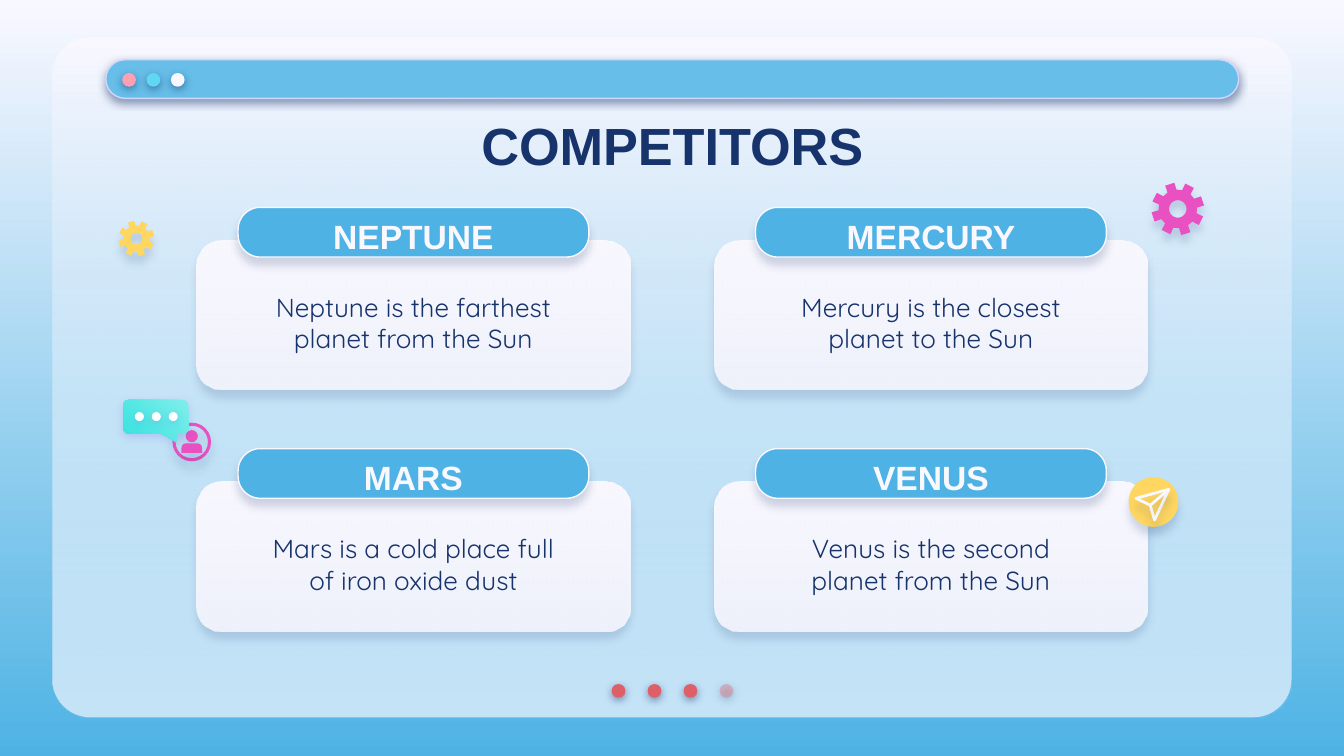
from math import cos, radians, sin

from lxml import etree
from pptx import Presentation
from pptx.dml.color import RGBColor
from pptx.enum import shapes, text
from pptx.oxml.ns import qn
from pptx.util import Cm, Pt

NAVY, SKY, PALE, WHITE = "17336B", "4EB3E4", "F9F8FF", "FFFFFF"
PINK, YELLOW, RED, BAR = "E951C2", "FFD65F", "DF5F69", "66BEE9"
AQUA = [("81EEEB", 100), ("3AE4DF", 100)]

TITLE = "COMPETITORS"
CARDS = [
    ("NEPTUNE", "Neptune is the farthest planet from the Sun"),
    ("MERCURY", "Mercury is the closest planet to the Sun"),
    ("MARS", "Mars is a cold place full of iron oxide dust"),
    ("VENUS", "Venus is the second planet from the Sun"),
]
BAR_DOTS = ["FDA0B4", "60D8F4", PALE]
PAGE_DOTS = [RED, RED, RED, [("E27B83", 44)]]
GEARS = [(22.26, 3.95, 0.5, PINK), (2.58, 4.51, 0.34, YELLOW)]

# Shadows: colour, opacity %, blur pt, distance pt
DOT_SHADOW = (NAVY, 50, 4.5, 1.5)
SOFT_SHADOW = (NAVY, 16, 4.5, 4.5)
TAB_SHADOW = (NAVY, 18, 4.5, 3.8)
CHAT_SHADOW = ("5352EE", 18, 4.5, 1.5)

S = shapes.MSO_SHAPE


def rgb(colour):
    return RGBColor.from_string(colour)


def set_alpha(clr, percent):
    if percent < 100:
        etree.SubElement(clr, qn("a:alpha"), val=str(percent * 1000))


def paint(fill, element, colour, angle=270):
    """Fill with a hex string or with one or two (hex, opacity) stops."""
    stops = [(colour, 100)] if isinstance(colour, str) else colour
    if len(stops) == 1:
        fill.solid()
        fill.fore_color.rgb = rgb(stops[0][0])
    else:
        fill.gradient()
        fill.gradient_angle = angle
        for stop, (hex_code, _) in zip(fill.gradient_stops, stops):
            stop.color.rgb = rgb(hex_code)
    for clr, (_, alpha) in zip(element.iter(qn("a:srgbClr")), stops):
        set_alpha(clr, alpha)


def add_shadow(sp, shadow):
    effects = etree.SubElement(sp._element.spPr, qn("a:effectLst"))
    colour, alpha, blur, dist = shadow
    outer = etree.SubElement(effects, qn("a:outerShdw"), blurRad=str(Pt(blur)),
                             dist=str(Pt(dist)), dir="5400000",
                             algn="bl", rotWithShape="0")
    set_alpha(etree.SubElement(outer, qn("a:srgbClr"), val=colour), alpha)


def style(sp, fill=None, line=None, width=0.75, shadow=None, angle=270):
    if fill:
        paint(sp.fill, sp._element.spPr, fill, angle)
    else:
        sp.fill.background()
    if line:
        sp.line.color.rgb = rgb(line)
        sp.line.width = Pt(width)
    else:
        sp.line.fill.background()
    if shadow:
        add_shadow(sp, shadow)
    else:
        sp.shadow.inherit = False


def add_preset(s, kind, x, y, w, h, fill, adj=(), **look):
    sp = s.shapes.add_shape(kind, Cm(x), Cm(y), Cm(w), Cm(h))
    for i, value in enumerate(adj):
        sp.adjustments[i] = value
    style(sp, fill, **look)
    return sp


def add_outline(s, contours, **look):
    """Closed freeform from contours of (x, y) points in cm."""
    points = [[(Cm(x), Cm(y)) for x, y in contour] for contour in contours]
    builder = s.shapes.build_freeform(*points[0][0])
    builder.add_line_segments(points[0][1:])
    for contour in points[1:]:
        builder.move_to(*contour[0])
        builder.add_line_segments(contour[1:])
    style(builder.convert_to_shape(), **look)


def add_dots(s, x, y, step, size, fills, shadow):
    for i, fill in enumerate(fills):
        add_preset(s, S.OVAL, x + i * step, y, size, size, fill, shadow=shadow)


def add_gear(s, x, y, r, fill):
    def polar(radius, degrees):
        a = radians(degrees)
        return x + radius * cos(a), y + radius * sin(a)

    teeth = [polar(r * k, 27 + 45 * tooth + turn) for tooth in range(8)
             for k, turn in ((0.73, -14), (1, -10.5), (1, 10.5), (0.73, 14))]
    hole = [polar(r * 0.33, -10 * i) for i in range(36)]
    add_outline(s, [teeth, hole], fill=fill, shadow=SOFT_SHADOW)


def write(sp, words, size, font, colour, bold, inset=0.25):
    tf = sp.text_frame
    tf.text = words
    tf.word_wrap = True
    tf.auto_size = text.MSO_AUTO_SIZE.NONE
    tf.vertical_anchor = text.MSO_ANCHOR.MIDDLE
    tf.margin_left = tf.margin_right = Cm(inset)
    tf.margin_top = tf.margin_bottom = Cm(0)
    p = tf.paragraphs[0]
    p.alignment = text.PP_ALIGN.CENTER
    p.font.size, p.font.name, p.font.bold = Pt(size), font, bold
    p.font.color.rgb = rgb(colour)


def add_window(s):
    paint(s.background.fill, s.background._cSld, [(PALE, 100), (SKY, 100)])
    for fill in (PALE, [(PALE, 100), (BAR, 35)]):
        add_preset(s, S.ROUNDED_RECTANGLE, 0.99, 0.71, 23.42, 12.85, fill, [0.056])
    add_dots(s, 11.56, 12.93, 0.68, 0.26, PAGE_DOTS, DOT_SHADOW)
    add_preset(s, S.ROUNDED_RECTANGLE, 2, 1.13, 21.41, 0.73, BAR, [0.5],
               line="D2D6FF", shadow=DOT_SHADOW)
    add_dots(s, 2.31, 1.38, 0.46, 0.26, BAR_DOTS, DOT_SHADOW)


def add_card(s, x, y, heading, body):
    add_preset(s, S.ROUNDED_RECTANGLE, x, y, 8.19, 2.82, [(PALE, 100), (PALE, 87)],
               [0.167], shadow=SOFT_SHADOW)
    add_preset(s, S.ROUNDED_RECTANGLE, x + 0.78, y - 0.63, 6.63, 0.94, SKY, [0.447],
               line=PALE, shadow=TAB_SHADOW)
    for words, dy, h, look in ((heading, -0.46, 0.74, (18, "Arial", PALE, True, 0)),
                               (body, 0.51, 2.08, (14, "Quicksand", NAVY, False))):
        box = s.shapes.add_textbox(Cm(x + 0.96), Cm(y + dy), Cm(6.27), Cm(h))
        write(box, words, *look)


def add_send_icon(s):
    add_preset(s, S.OVAL, 21.33, 9.02, 0.94, 0.94, YELLOW, shadow=SOFT_SHADOW)
    tip, fold = (22.09, 9.25), (21.74, 9.55)
    plane = [(21.47, 9.42), tip, (21.82, 9.83), fold, (21.47, 9.42)]
    add_outline(s, [plane], line=PALE, width=1.5, shadow=SOFT_SHADOW)
    crease = s.shapes.add_connector(shapes.MSO_CONNECTOR.STRAIGHT,
                                    *map(Cm, tip + fold))
    crease.line.color.rgb = rgb(PALE)
    crease.line.width = Pt(1.5)
    add_shadow(crease, SOFT_SHADOW)


def add_chat_icon(s):
    for kind, x, y, w, h, adj in (
            (S.DONUT, 3.26, 7.99, 0.73, 0.73, [0.08]),
            (S.OVAL, 3.51, 8.13, 0.23, 0.23, []),
            (S.ROUND_2_SAME_RECTANGLE, 3.43, 8.38, 0.39, 0.18, [0.5, 0])):
        add_preset(s, kind, x, y, w, h, PINK, adj, shadow=SOFT_SHADOW)
    add_preset(s, S.ROUNDED_RECTANGULAR_CALLOUT, 2.33, 7.56, 1.23, 0.64, AQUA,
               [0.31, 0.74, 0.17], shadow=CHAT_SHADOW, angle=225)
    add_dots(s, 2.55, 7.79, 0.32, 0.17, [WHITE] * 3, CHAT_SHADOW)


def main():
    prs = Presentation()
    prs.slide_width, prs.slide_height = Cm(25.4), Cm(14.29)
    s = prs.slides.add_slide(prs.slide_layouts[5])
    add_window(s)
    title = s.shapes.title
    title.left, title.top, title.width, title.height = map(Cm, (2, 1.94, 21.41, 1.6))
    write(title, TITLE, 28, "Arial", NAVY, True)
    for i, (heading, body) in enumerate(CARDS):
        row, col = divmod(i, 2)
        add_card(s, 3.72 + col * 9.78, 4.55 + row * 4.56, heading, body)
    for gear in GEARS:
        add_gear(s, *gear)
    add_send_icon(s)
    add_chat_icon(s)
    # The window panel would cover the title, which the layout places first.
    s.shapes._spTree.append(title._element)
    prs.save("out.pptx")


if __name__ == "__main__":
    main()
